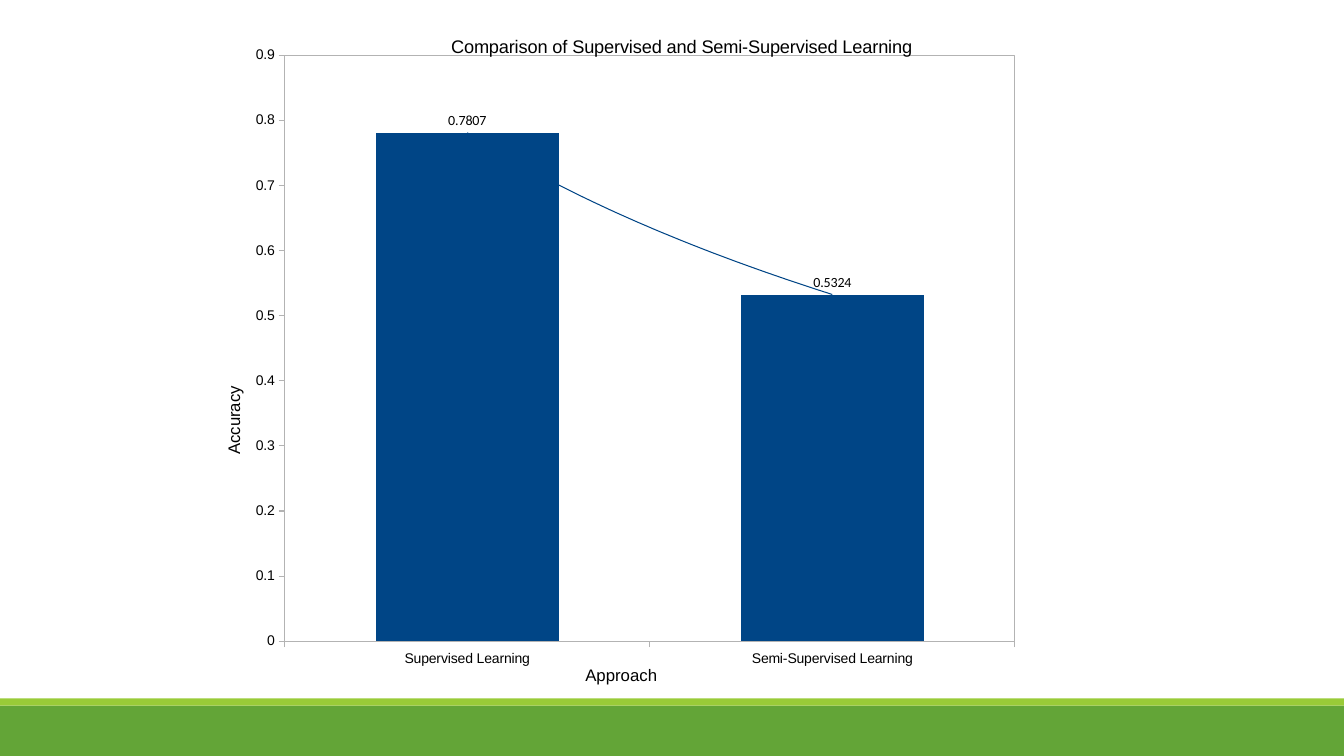
"""Build a slide with a bar chart comparing supervised and semi-supervised accuracy."""
import dataclasses
import typing

import pptx
import pptx.chart.data
import pptx.dml.color
import pptx.enum.chart
import pptx.enum.shapes
import pptx.oxml
import pptx.oxml.ns
import pptx.util

Inches = pptx.util.Inches
Pt = pptx.util.Pt


@dataclasses.dataclass(frozen=True)
class Theme:
    text: str = "000000"
    bar: str = "004586"
    axis: str = "B3B3B3"
    band: str = "63A537"
    stripe: str = "99CB38"
    font: str = "Arial"
    label_font: str = "Calibri"
    title_size: int = 13
    axis_title_size: int = 12
    tick_size: int = 10
    line_width: float = 0.75


class Band(typing.NamedTuple):
    top: float
    height: float
    color: str


class Heading(typing.NamedTuple):
    owner: typing.Any
    text: str
    size: int
    x: float
    y: float
    turn: int = 0


THEME = Theme()
WIDTH, HEIGHT = 13.33, 7.5
BANDS = [Band(7, 0.5, THEME.band), Band(6.93, 0.07, THEME.stripe)]
ACCURACY = {"Supervised Learning": 0.7807, "Semi-Supervised Learning": 0.5324}


def rgb(color: str) -> pptx.dml.color.RGBColor:
    return pptx.dml.color.RGBColor.from_string(color)


def style_font(font, size: int, name: str) -> None:
    font.size = Pt(size)
    font.name = name
    font.bold = False
    font.color.rgb = rgb(THEME.text)


def chart_xml(tag: str, body: str):
    return pptx.oxml.parse_xml(
        f'<c:{tag} {pptx.oxml.ns.nsdecls("c", "a")}>{body}</c:{tag}>')


def line_xml(color: str):
    width = Pt(THEME.line_width)
    return chart_xml("spPr", f'<a:ln w="{width}"><a:solidFill>'
                     f'<a:srgbClr val="{color}"/></a:solidFill></a:ln>')


def set_layout(parent, index: int, inner: bool = False, **place: float) -> None:
    for old in parent.xpath("./c:layout"):
        parent.remove(old)
    parts = ['<c:layoutTarget val="inner"/>'] if inner else []
    parts += [f'<c:{key}Mode val="edge"/>' for key in "xy"]
    parts += [f'<c:{key} val="{value}"/>' for key, value in place.items()]
    body = f'<c:manualLayout>{"".join(parts)}</c:manualLayout>'
    parent.insert(index, chart_xml("layout", body))


def add_band(slide, band: Band) -> None:
    sp = slide.shapes.add_shape(
        pptx.enum.shapes.MSO_SHAPE.RECTANGLE, 0, Inches(band.top),
        Inches(WIDTH), Inches(band.height))
    sp.shadow.inherit = False
    sp.fill.solid()
    sp.fill.fore_color.rgb = rgb(band.color)
    sp.line.fill.background()


def style_axis(axis) -> None:
    axis.has_major_gridlines = False
    axis.major_tick_mark = pptx.enum.chart.XL_TICK_MARK.OUTSIDE
    axis.minor_tick_mark = pptx.enum.chart.XL_TICK_MARK.NONE
    axis.format.line.color.rgb = rgb(THEME.axis)
    axis.format.line.width = Pt(THEME.line_width)
    style_font(axis.tick_labels.font, THEME.tick_size, THEME.font)


def add_headings(chart) -> None:
    chart.has_title = True
    chart.category_axis.has_title = True
    chart.value_axis.has_title = True
    headings = [
        Heading(chart.chart_title, "Comparison of Supervised and Semi-Supervised Learning",
                THEME.title_size, 0.25, 0.034),
        Heading(chart.category_axis.axis_title, "Approach",
                THEME.axis_title_size, 0.394, 0.963),
        Heading(chart.value_axis.axis_title, "Accuracy",
                THEME.axis_title_size, 0.006, 0.552, -5400000),
    ]
    for heading in headings:
        tf = heading.owner.text_frame
        tf.text = heading.text
        style_font(tf.paragraphs[0].font, heading.size, THEME.font)
        title = heading.owner._element
        title.xpath("./c:tx/c:rich/a:bodyPr")[0].set("rot", str(heading.turn))
        set_layout(title, 1, x=heading.x, y=heading.y)


def style_series(plot) -> None:
    plot.gap_width = 100
    plot.vary_by_categories = False
    series = plot.series[0]
    series.format.fill.solid()
    series.format.fill.fore_color.rgb = rgb(THEME.bar)
    labels = series.data_labels
    labels.show_value = True
    labels.position = pptx.enum.chart.XL_LABEL_POSITION.OUTSIDE_END
    style_font(labels.font, THEME.tick_size, THEME.label_font)
    trend = chart_xml("trendline", '<c:trendlineType val="log"/>'
                      '<c:dispRSqr val="0"/><c:dispEq val="0"/>')
    trend.insert(0, line_xml(THEME.bar))
    series._element.xpath("./c:cat")[0].addprevious(trend)


def add_accuracy_chart(slide) -> None:
    data = pptx.chart.data.CategoryChartData()
    data.categories = list(ACCURACY)
    data.add_series("Series 1", list(ACCURACY.values()))
    chart = slide.shapes.add_chart(
        pptx.enum.chart.XL_CHART_TYPE.COLUMN_CLUSTERED, Inches(2.13),
        Inches(0.09), Inches(9.25), Inches(6.75), data).chart
    chart.has_legend = False
    style_font(chart.font, THEME.tick_size, THEME.label_font)
    for axis in (chart.category_axis, chart.value_axis):
        style_axis(axis)
    chart.value_axis.minimum_scale = 0
    chart.value_axis.maximum_scale = 0.9
    chart.value_axis.major_unit = 0.1
    add_headings(chart)
    style_series(chart.plots[0])
    area = chart._chartSpace.xpath("./c:chart/c:plotArea")[0]
    set_layout(area, 0, inner=True, x=0.075, y=0.068, w=0.783, h=0.865)
    area.append(line_xml(THEME.axis))


def main() -> None:
    prs = pptx.Presentation()
    prs.slide_width = Inches(WIDTH)
    prs.slide_height = Inches(HEIGHT)
    slide = prs.slides.add_slide(prs.slide_layouts[6])
    for band in BANDS:
        add_band(slide, band)
    add_accuracy_chart(slide)
    prs.save("out.pptx")


if __name__ == "__main__":
    main()
